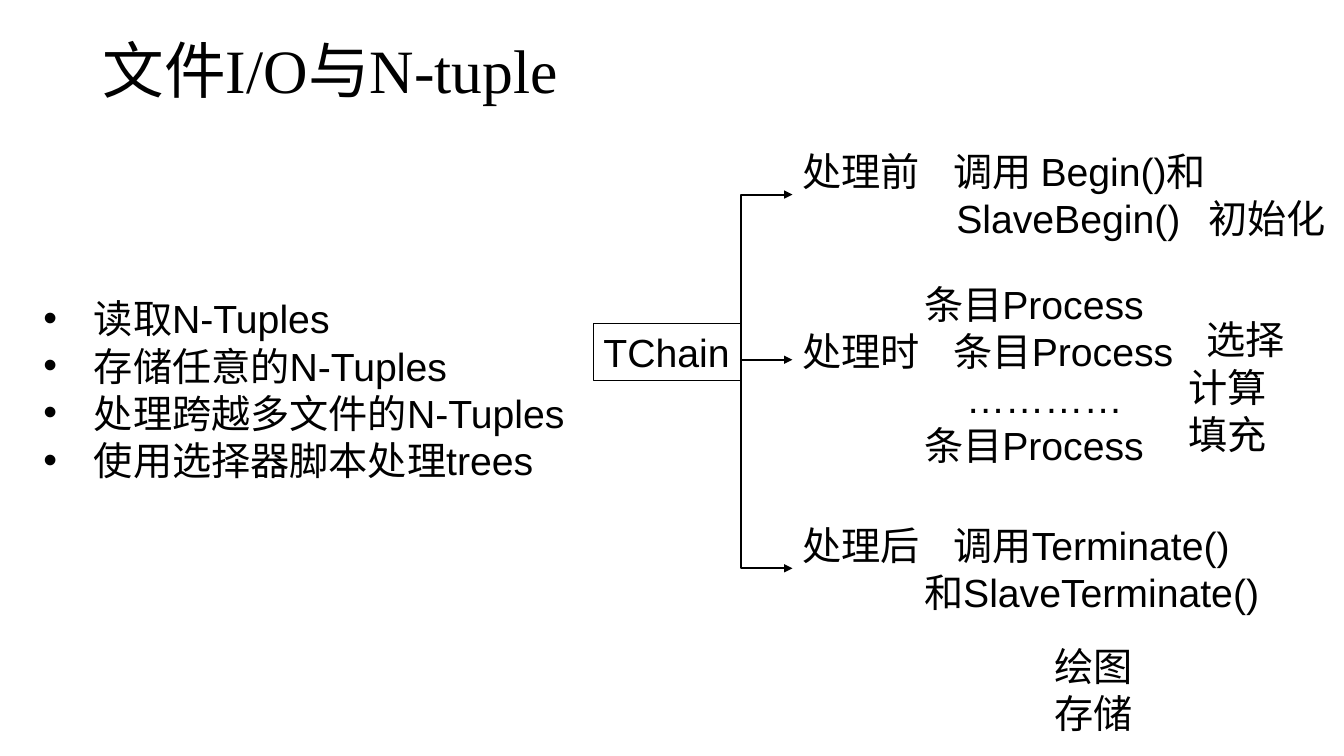
import pptx
import pptx.dml.color
import pptx.enum.shapes
import pptx.enum.text
import pptx.util
import lxml.etree

Pt = pptx.util.Pt
ALIGN = pptx.enum.text.PP_ALIGN
ANCHOR = pptx.enum.text.MSO_ANCHOR
CONNECTOR = pptx.enum.shapes.MSO_CONNECTOR
BLACK = pptx.dml.color.RGBColor(0, 0, 0)
WHITE = pptx.dml.color.RGBColor(255, 255, 255)

TRUNK_X, TIP_X, CHAIN_Y = 529, 566, 257
STAGE_X = TIP_X
BODY_SIZE = 28


def add_child(parent, tag, **attributes):
    """Append a DrawingML element and return it."""
    child = lxml.etree.SubElement(parent, pptx.oxml.ns.qn(tag))
    for name, value in attributes.items():
        child.set(name, str(value))
    return child


def style_paragraph(paragraph, size=BODY_SIZE, align=ALIGN.LEFT):
    """Give a paragraph its alignment and black Arial."""
    paragraph.alignment = align
    paragraph.font.size = Pt(size)
    paragraph.font.name = "Arial"
    paragraph.font.color.rgb = BLACK


def set_layout(paragraph, left=0, right=0, hanging=0, bullet=None, tab=None):
    """Set indents, bullet and tab stop, keeping the schema's child order."""
    properties = paragraph._p.get_or_add_pPr()
    for name, value in (("marL", left), ("marR", right), ("indent", -hanging)):
        properties.set(name, str(int(Pt(value))))
    added = []
    if bullet:
        added.append(add_child(properties, "a:buFont", typeface="Arial"))
        added.append(add_child(properties, "a:buChar", char=bullet))
    if tab:
        stops = add_child(properties, "a:tabLst")
        add_child(stops, "a:tab", pos=int(Pt(tab)), algn="l")
        added.append(stops)
    for position, child in enumerate(added):
        properties.insert(position, child)


def add_title(slide):
    """Place the title, with Latin words in a serif face."""
    title = slide.shapes.title
    title.left, title.top, title.width, title.height = Pt(-24), Pt(32), Pt(520), Pt(48)
    frame = title.text_frame
    frame.auto_size = pptx.enum.text.MSO_AUTO_SIZE.NONE
    frame.vertical_anchor = ANCHOR.BOTTOM
    heading = frame.paragraphs[0]
    style_paragraph(heading, 44, ALIGN.CENTER)
    heading.line_spacing = 0.9
    for words, face in (("文件", "Arial"), ("I/O", "Times New Roman"),
                        ("与", "Arial"), ("N-tuple", "Times New Roman")):
        run = heading.add_run()
        run.text = words
        run.font.name = face


def add_lines(slide, box, lines, align=ALIGN.LEFT):
    """Add a text box from (text, layout) pairs."""
    frame = slide.shapes.add_textbox(*map(Pt, box)).text_frame
    frame.word_wrap = True
    for number, (text, layout) in enumerate(lines):
        paragraph = frame.add_paragraph() if number else frame.paragraphs[0]
        paragraph.text = text
        style_paragraph(paragraph, align=align)
        set_layout(paragraph, **layout)


def add_chain_box(slide):
    """Draw the outlined TChain node."""
    chain = slide.shapes.add_shape(
        pptx.enum.shapes.MSO_SHAPE.RECTANGLE, Pt(424), Pt(231), Pt(105), Pt(41))
    chain.shadow.inherit = False
    chain.fill.background()
    chain.line.color.rgb = BLACK
    chain.line.width = Pt(0.75)
    chain.text_frame.word_wrap = False
    chain.text_frame.vertical_anchor = ANCHOR.TOP
    label = chain.text_frame.paragraphs[0]
    label.text = "TChain"
    style_paragraph(label)


def add_branch(slide, stage_y):
    """Lead an arrow from TChain to a stage, bending once if it is off level."""
    rise, reach = stage_y - CHAIN_Y, TIP_X - TRUNK_X
    if rise == 0:
        branch = slide.shapes.add_connector(
            CONNECTOR.STRAIGHT, Pt(TRUNK_X), Pt(CHAIN_Y), Pt(TIP_X), Pt(CHAIN_Y))
    else:
        length = abs(rise)
        left = (TRUNK_X + TIP_X - length) / 2
        top = (CHAIN_Y + stage_y - reach) / 2
        start_y, end_y = (top, top + reach) if rise > 0 else (top + reach, top)
        branch = slide.shapes.add_connector(
            CONNECTOR.ELBOW, Pt(left + length), Pt(start_y), Pt(left), Pt(end_y))
        properties = branch._element.spPr
        turn = 270 if rise > 0 else 90
        properties.find(pptx.oxml.ns.qn("a:xfrm")).set("rot", str(turn * 60000))
        properties.find(pptx.oxml.ns.qn("a:prstGeom")).set("prst", "bentConnector2")
    branch.line.color.rgb = BLACK
    branch.line.width = Pt(1.5)
    add_child(branch.line._get_or_add_ln(), "a:tailEnd", type="triangle")
    add_child(branch._element.spPr, "a:effectLst")


def main():
    """Build the slide on file I/O and N-tuples."""
    deck = pptx.Presentation()
    deck.slide_width, deck.slide_height = Pt(960), Pt(540)
    slide = deck.slides.add_slide(deck.slide_layouts[5])
    slide.background.fill.solid()
    slide.background.fill.fore_color.rgb = WHITE
    add_title(slide)

    bullet = {"left": 36, "hanging": 36, "bullet": "•"}
    tasks = ("读取N-Tuples", "存储任意的N-Tuples",
             "处理跨越多文件的N-Tuples", "使用选择器脚本处理trees")
    add_lines(slide, (24, 207, 410, 199), [(task, bullet) for task in tasks])

    add_chain_box(slide)
    stage, entry = {"tab": 102}, {"left": 87}
    add_lines(slide, (STAGE_X, 101.5, 501, 75), [
        ("处理前\t调用 Begin()和", stage),
        ("SlaveBegin()\t初始化", {"left": 110, "tab": 292})])
    add_lines(slide, (STAGE_X, 196.5, 415, 177), [
        ("条目Process", entry),
        ("处理时\t条目Process", stage),
        ("…………", {"left": 117}),
        ("条目Process", entry)])
    add_lines(slide, (772, 222, 153, 109), [
        ("选择", {}), ("计算", {"right": 13}), ("填充", {"right": 13})], ALIGN.RIGHT)
    add_lines(slide, (STAGE_X, 368.5, 371, 75), [
        ("处理后\t调用Terminate()", stage), ("和SlaveTerminate()", entry)])
    add_lines(slide, (721, 455, 95, 75), [("绘图", {}), ("存储", {})], ALIGN.RIGHT)

    for stage_y in (139, CHAIN_Y, 406):
        add_branch(slide, stage_y)
    deck.save("out.pptx")


main()
